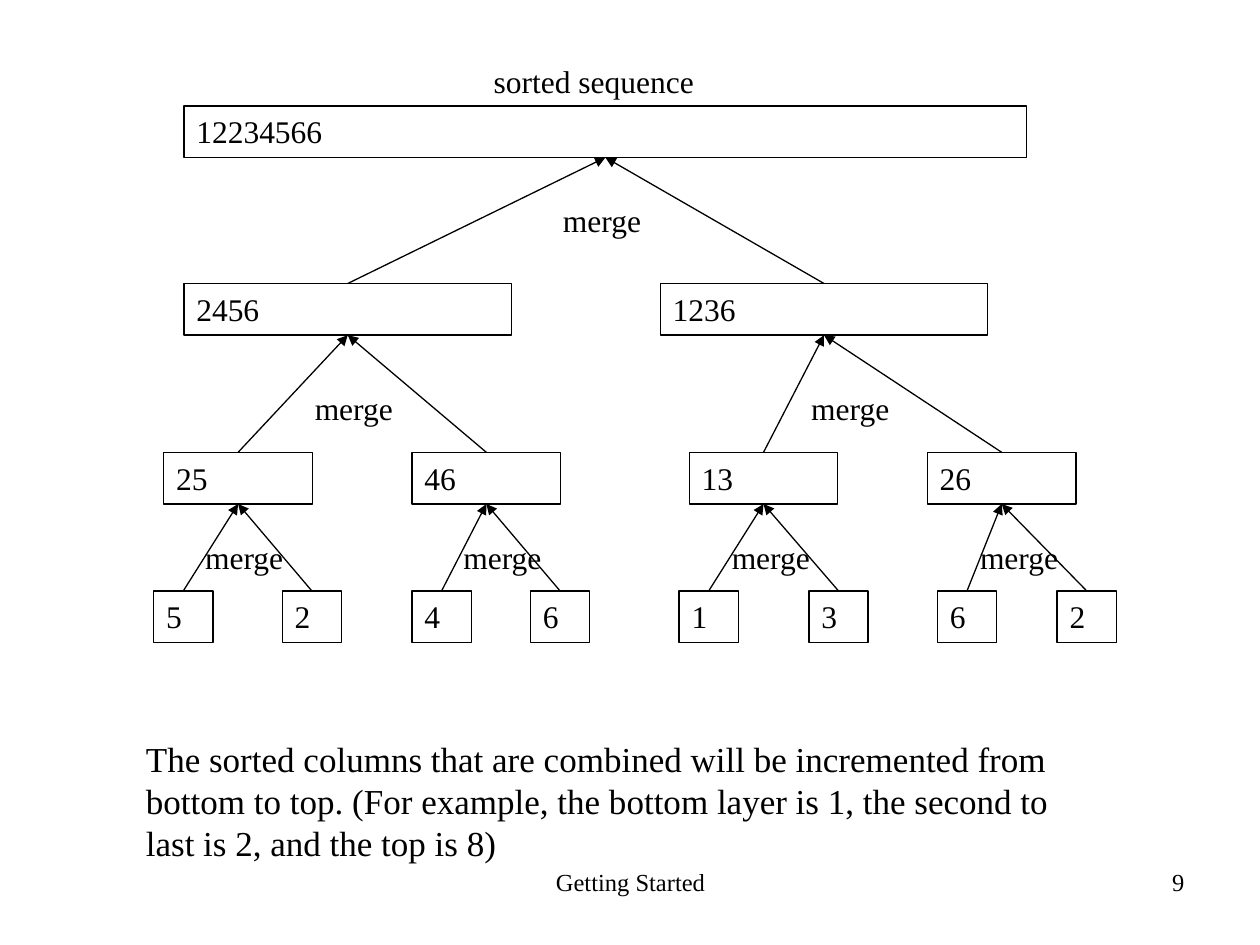
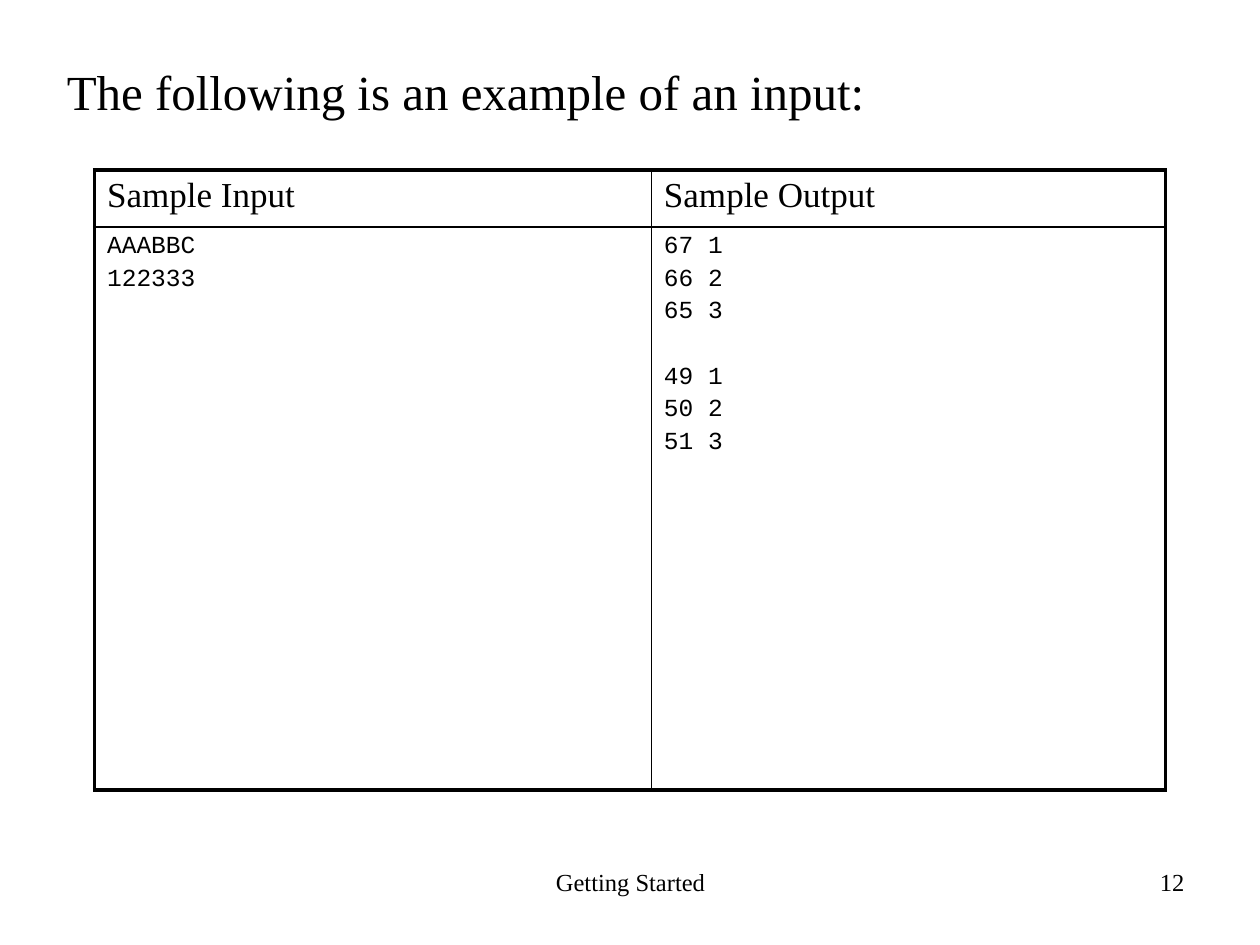
from dataclasses import dataclass

from lxml.etree import SubElement as Sub
from pptx import Presentation as Deck
from pptx.dml.color import RGBColor as Rgb
from pptx.enum.shapes import MSO_CONNECTOR as Conn, MSO_SHAPE as Shape
from pptx.enum.text import MSO_ANCHOR as Anchor, MSO_AUTO_SIZE as Fit, PP_ALIGN as Align
from pptx.oxml.ns import qn
from pptx.util import Inches, Pt


@dataclass(frozen=True)
class Theme:
    ink: str = "000000"
    serif: str = "Times New Roman"
    mono: str = "Courier New"
    head: int = 28
    body: int = 20
    node: int = 18
    small: int = 14
    thin: float = 0.75
    rule: float = 1
    frame: float = 2.25


THEME = Theme()
INK = Rgb.from_string(THEME.ink)
NODE_H = 0.41

# Each level: top, node width, label top, nodes as (text, left, label left).
# Node i of a level is merged from nodes 2i and 2i + 1 of the next.
LEVELS = [
    (0.84, 6.69, 1.55, [("12234566", 1.46, 4.37)]),
    (2.25, 2.6, 3.04, [("2456", 1.46, 2.4), ("1236", 5.24, 6.34)]),
    (3.59, 1.18, 4.22, [("25", 1.3, 1.53), ("46", 3.27, 3.58),
                        ("13", 5.47, 5.71), ("26", 7.36, 7.68)]),
    (4.69, 0.47, None, [("5", 1.22, None), ("2", 2.24, None),
                        ("4", 3.27, None), ("6", 4.21, None),
                        ("1", 5.39, None), ("3", 6.42, None),
                        ("6", 7.44, None), ("2", 8.39, None)]),
]
NOTE = ("The sorted columns that are combined will be incremented from bottom "
        "to top. (For example, the bottom layer is 1, the second to last is 2, "
        "and the top is 8)")
INPUT = [["AAABBC", "122333"]]
OUTPUT = [["67 1", "66 2", "65 3"], ["49 1", "50 2", "51 3"]]


def place(left, top, width, height):
    return [Inches(n) for n in (left, top, width, height)]


def add_run(para, text, size, font=THEME.serif):
    run = para.add_run()
    run.text = text
    run.font.name = font
    run.font.size = Pt(size)
    run.font.color.rgb = INK


def add_text(slide, text, box, size, align=Align.LEFT, wrap=True, fit=Fit.NONE):
    frame = slide.shapes.add_textbox(*place(*box)).text_frame
    frame.word_wrap = wrap
    frame.auto_size = fit
    para = frame.paragraphs[0]
    para.alignment = align
    add_run(para, text, size)


def add_label(slide, text, left, top, width=0.83):
    add_text(slide, text, (left, top, width, 0.4), THEME.node,
             wrap=False, fit=Fit.SHAPE_TO_FIT_TEXT)


def add_footer(slide, number):
    add_text(slide, "Getting Started", (3.42, 6.83, 3.17, 0.52), THEME.small, Align.CENTER)
    add_text(slide, number, (7.17, 6.83, 2.33, 0.52), THEME.small, Align.RIGHT)


def add_node(slide, text, left, top, width):
    node = slide.shapes.add_shape(Shape.RECTANGLE, *place(left, top, width, NODE_H))
    node.shadow.inherit = False
    node.fill.background()
    node.line.color.rgb = INK
    node.line.width = Pt(THEME.thin)
    frame = node.text_frame
    frame.vertical_anchor = Anchor.TOP
    para = frame.paragraphs[0]
    para.alignment = Align.JUSTIFY
    add_run(para, text, THEME.node)
    return node


def add_arrow(slide, child, parent):
    """Draw an arrow from the top of child to the bottom of parent."""
    arrow = slide.shapes.add_connector(Conn.STRAIGHT, 0, 0, 0, 0)
    arrow.begin_connect(child, 0)
    arrow.end_connect(parent, 2)
    arrow.line.color.rgb = INK
    arrow.line.width = Pt(THEME.thin)
    Sub(arrow.line._get_or_add_ln(), qn("a:tailEnd"), type="triangle")
    Sub(arrow._element.spPr, qn("a:effectLst"))


def add_tree(slide):
    rows = [[add_node(slide, text, left, top, width) for text, left, _ in nodes]
            for top, width, _, nodes in LEVELS]
    for upper, lower in zip(rows, rows[1:]):
        for i, child in enumerate(lower):
            add_arrow(slide, child, upper[i // 2])
    for _, _, top, nodes in LEVELS[:-1]:
        for _, _, left in nodes:
            add_label(slide, "merge", left, top)


def set_edges(cell, row, col):
    """Give a cell of the 2 by 2 table thick outer and thin inner borders."""
    props = cell._tc.get_or_add_tcPr()
    outer = {"L": col == 0, "R": col == 1, "T": row == 0, "B": row == 1}
    for i, (side, thick) in enumerate(outer.items()):
        width = Pt(THEME.frame if thick else THEME.rule)
        line = props.makeelement(qn(f"a:ln{side}"), {"w": str(width)})
        fill = Sub(line, qn("a:solidFill"))
        Sub(fill, qn("a:srgbClr"), val=THEME.ink)
        props.insert(i, line)


def add_code(cell, groups):
    """Write code lines, with a gap of one line between groups."""
    frame = cell.text_frame
    for g, group in enumerate(groups):
        for i, text in enumerate(group):
            first = g == i == 0
            para = frame.paragraphs[0] if first else frame.add_paragraph()
            gap = 21.5 if g and i == 0 else 2.8
            para.space_before = Pt(0 if first else gap)
            add_run(para, text, THEME.small, THEME.mono)


def add_samples(slide):
    table = slide.shapes.add_table(2, 2, *place(0.75, 1.35, 8.5, 4.92)).table
    table.first_row = table.horz_banding = False
    for col, width in zip(table.columns, (4.42, 4.08)):
        col.width = Inches(width)
    for row, height in zip(table.rows, (0.45, 4.47)):
        row.height = Inches(height)
    for r in range(2):
        for c in range(2):
            cell = table.cell(r, c)
            cell.fill.background()
            set_edges(cell, r, c)
    for c, (head, code) in enumerate([("Sample Input", INPUT), ("Sample Output", OUTPUT)]):
        add_run(table.cell(0, c).text_frame.paragraphs[0], head, THEME.body)
        add_code(table.cell(1, c), code)


def fill_body(slide, text, box):
    body = slide.placeholders[1]
    body.left, body.top, body.width, body.height = place(*box)
    para = body.text_frame.paragraphs[0]
    props = para._p.get_or_add_pPr()
    props.set("marL", str(Inches(0.38)))
    props.set("indent", str(-Inches(0.38)))
    Sub(props, qn("a:buNone"))
    add_run(para, text, THEME.head)


def build_tree(deck):
    slide = deck.slides.add_slide(deck.slide_layouts[6])
    add_footer(slide, "9")
    add_tree(slide)
    add_label(slide, "sorted sequence", 3.82, 0.44, 1.79)
    add_text(slide, NOTE, (1.06, 5.8, 7.8, 1.11), THEME.body, fit=Fit.SHAPE_TO_FIT_TEXT)


def build_samples(deck):
    slide = deck.slides.add_slide(deck.slide_layouts[1])
    title = slide.shapes.title._element
    title.getparent().remove(title)
    add_footer(slide, "12")
    fill_body(slide, "The following is an example of an input:", (0.43, 0.44, 9, 4.95))
    add_samples(slide)


def main():
    deck = Deck()
    deck.slide_width, deck.slide_height = Inches(10), Inches(7.5)
    build_tree(deck)
    build_samples(deck)
    deck.save("out.pptx")


if __name__ == "__main__":
    main()
